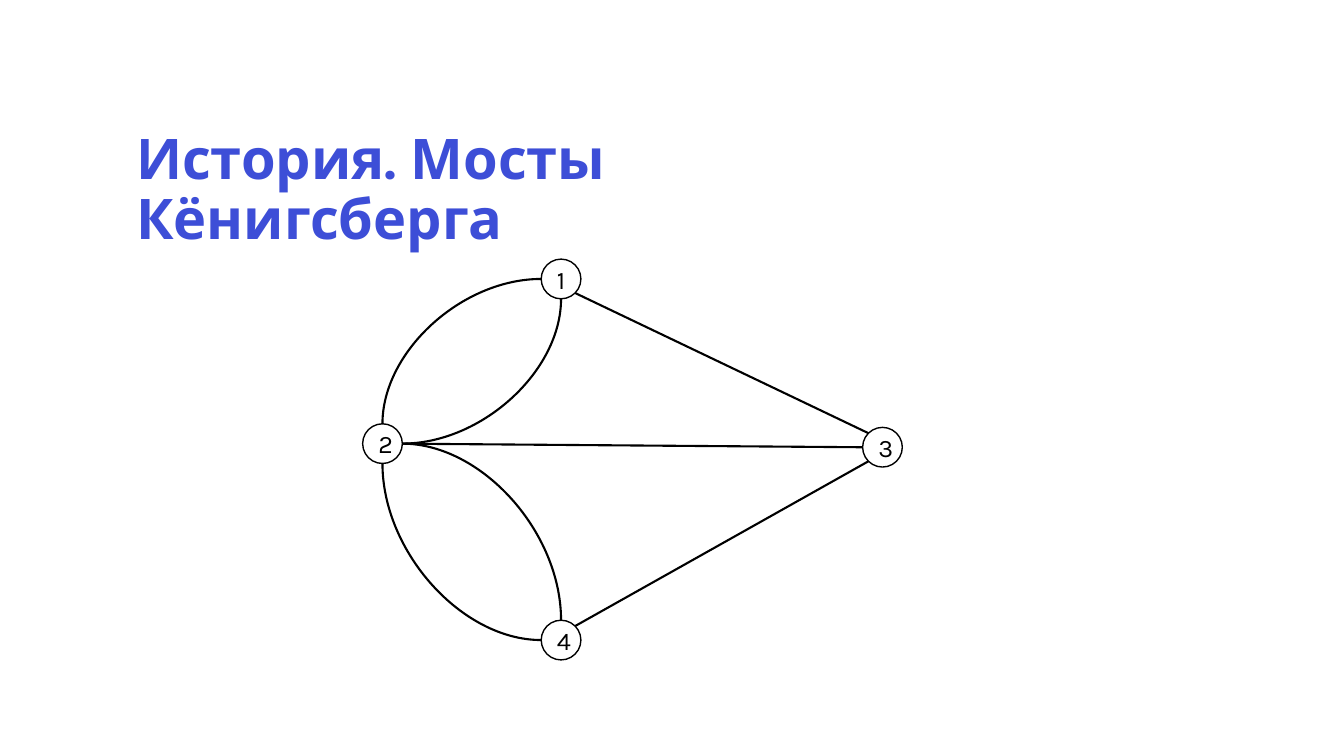
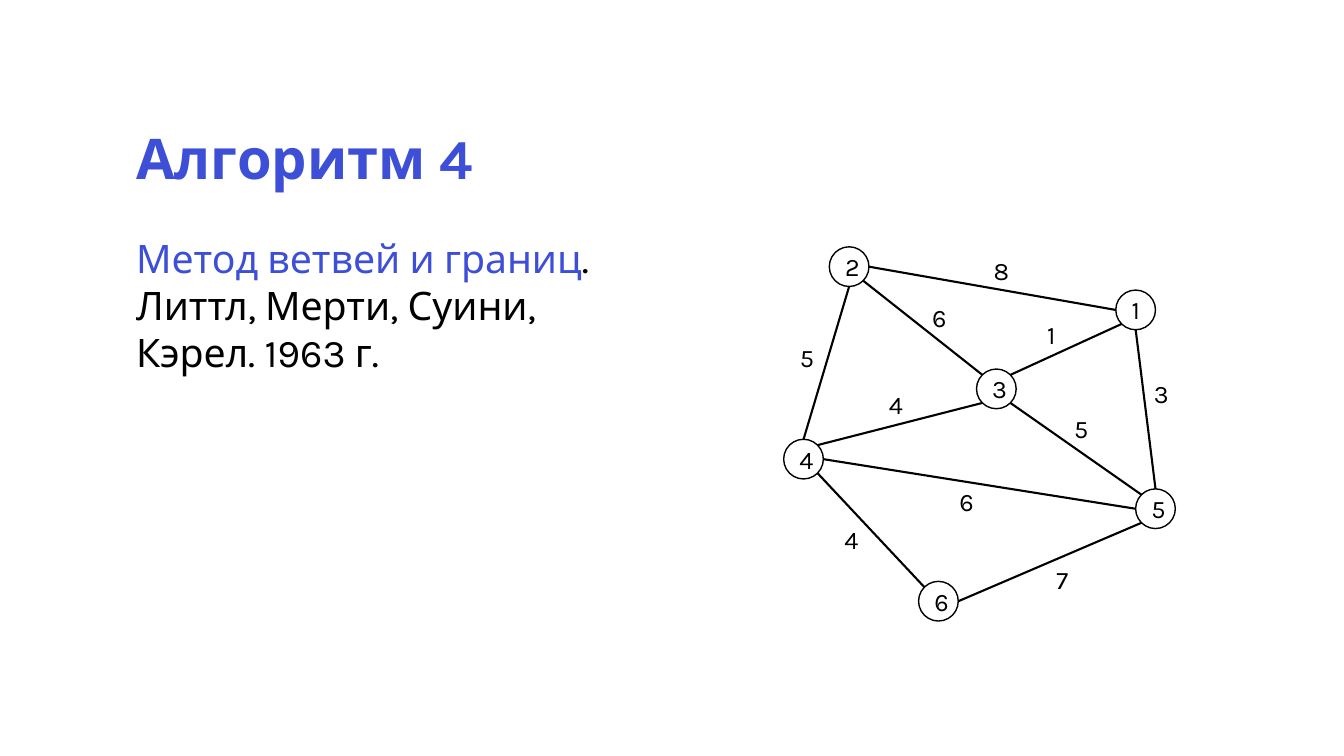
from dataclasses import dataclass
from math import cos, pi, sin

from lxml import etree
from pptx import Presentation
from pptx.dml.color import RGBColor
from pptx.enum.shapes import MSO_CONNECTOR, MSO_SHAPE
from pptx.enum.text import MSO_ANCHOR, PP_ALIGN
from pptx.oxml.ns import qn
from pptx.util import Cm, Pt

LINE, CURVE = MSO_CONNECTOR.STRAIGHT, MSO_CONNECTOR.CURVE
OVAL = MSO_SHAPE.OVAL
MIDDLE, CENTER = MSO_ANCHOR.MIDDLE, PP_ALIGN.CENTER

FONT = "Karla"
BLUE, BLACK, WHITE = "3D4ED7", "000000", "FFFFFF"
SIZE = 1.0  # node diameter, cm
LEFT = 3.18  # text margin, cm

# Connection sites of an ellipse, counter-clockwise from the top
N, NW, W, SW, S, SE, E, NE = range(8)


@dataclass
class Node:
    name: str
    x: float
    y: float

    def site(self, num: int) -> tuple[Cm, Cm]:
        turn = num * pi / 4
        half = SIZE / 2
        return Cm(self.x - half * sin(turn)), Cm(self.y - half * cos(turn))


@dataclass
class Edge:
    start: str
    out: int
    end: str
    into: int
    curved: bool = False


@dataclass
class Label:
    text: str
    x: float
    y: float


# Shared helpers
def color(code: str) -> RGBColor:
    return RGBColor.from_string(code)


def style(font, size: float, code: str, bold: bool = False) -> None:
    font.name, font.size, font.bold = FONT, Pt(size), bold
    font.color.rgb = color(code)


def add_text(slide, x: float, y: float, width: float, height: float):
    frame = slide.shapes.add_textbox(Cm(x), Cm(y), Cm(width), Cm(height)).text_frame
    frame.word_wrap = True
    return frame


def add_title(slide, text: str, width: float) -> None:
    para = add_text(slide, LEFT, LEFT, width, 2).paragraphs[0]
    para.text = text
    para.line_spacing = 0.9
    style(para.font, 40, BLUE, True)


def add_label(slide, label: Label) -> None:
    para = add_text(slide, label.x, label.y, 1.3, 1).paragraphs[0]
    para.text = label.text
    style(para.font, 18, BLACK)


# Graph parts
def add_node(slide, node: Node):
    half = SIZE / 2
    oval = slide.shapes.add_shape(
        OVAL, Cm(node.x - half), Cm(node.y - half), Cm(SIZE), Cm(SIZE))
    oval.shadow.inherit = False
    oval.fill.solid()
    oval.fill.fore_color.rgb = color(WHITE)
    oval.line.color.rgb = color(BLACK)
    oval.line.width = Pt(1)
    oval.text_frame.vertical_anchor = MIDDLE
    para = oval.text_frame.paragraphs[0]
    para.text = node.name
    para.alignment = CENTER
    style(para.font, 18, BLACK)
    return oval


def add_edge(slide, edge: Edge, nodes: dict, ovals: dict) -> None:
    kind = CURVE if edge.curved else LINE
    link = slide.shapes.add_connector(
        kind, *nodes[edge.start].site(edge.out), *nodes[edge.end].site(edge.into))
    link.line.color.rgb = color(BLACK)
    link.line.width = Pt(1.5)
    props = link.element.spPr
    etree.SubElement(props, qn("a:effectLst"))
    if edge.curved:  # a quarter arc: leaves level, arrives upright
        props.find(qn("a:prstGeom")).set("prst", "curvedConnector2")
    # Join both ends to the ellipse sites
    joint = link.element.find(".//" + qn("p:cNvCxnSpPr"))
    ends = (("a:stCxn", edge.start, edge.out), ("a:endCxn", edge.end, edge.into))
    for tag, name, num in ends:
        end = etree.SubElement(joint, qn(tag))
        end.set("id", str(ovals[name].shape_id))
        end.set("idx", str(num))


def add_graph(slide, nodes: list[Node], edges: list[Edge]) -> None:
    named = {node.name: node for node in nodes}
    ovals = {node.name: add_node(slide, node) for node in nodes}
    for edge in edges:
        add_edge(slide, edge, named, ovals)


# Content of the two graphs
BRIDGE_NODES = [
    Node("3", 22.24, 11.27),
    Node("1", 14.14, 7.03),
    Node("2", 9.64, 11.18),
    Node("4", 14.14, 16.13),
]
BRIDGES = [
    Edge("4", NE, "3", SW),
    Edge("1", SE, "3", NW),
    Edge("3", W, "2", E),
    Edge("1", W, "2", N, True),
    Edge("2", E, "1", S, True),
    Edge("4", W, "2", S, True),
    Edge("2", E, "4", N, True),
]
ROUTE_NODES = [
    Node("1", 28.62, 7.81),
    Node("4", 20.25, 11.57),
    Node("3", 25.11, 9.8),
    Node("2", 21.4, 6.72),
    Node("6", 23.65, 15.15),
    Node("5", 29.12, 12.82),
]
ROUTES = [
    Edge("4", NE, "3", SW),
    Edge("1", W, "2", E),
    Edge("3", NE, "1", SW),
    Edge("3", SE, "5", NW),
    Edge("1", S, "5", N),
    Edge("4", SE, "6", NW),
    Edge("6", E, "5", SW),
    Edge("4", E, "5", W),
    Edge("3", NW, "2", SE),
    Edge("2", S, "4", N),
]
WEIGHTS = [
    Label("5", 19.91, 8.51),
    Label("6", 23.24, 7.49),
    Label("4", 22.15, 9.68),
    Label("8", 24.79, 6.32),
    Label("1", 26.14, 7.92),
    Label("5", 26.82, 10.29),
    Label("6", 23.93, 12.14),
    Label("4", 21.03, 13.08),
    Label("7", 26.37, 14.1),
    Label("3", 28.83, 9.4),
]


# Slides
def add_bridges(slide) -> None:
    add_title(slide, "История. Мосты Кёнигсберга", 20.14)
    add_graph(slide, BRIDGE_NODES, BRIDGES)


def add_method(slide) -> None:
    add_title(slide, "Алгоритм 4", 13.74)
    frame = add_text(slide, LEFT, 5.77, 13.74, 5.05)
    lead = frame.paragraphs[0]
    for text, code in (("Метод ветвей и границ", BLUE), (".", BLACK)):
        run = lead.add_run()
        run.text = text
        style(run.font, 28, code)
    names = frame.add_paragraph()
    names.text = "Литтл, Мерти, Суини, Кэрел. 1963 г."
    style(names.font, 28, BLACK)
    add_graph(slide, ROUTE_NODES, ROUTES)
    for label in WEIGHTS:
        add_label(slide, label)


def main() -> None:
    deck = Presentation()
    deck.slide_width, deck.slide_height = Cm(33.87), Cm(19.05)
    blank = deck.slide_layouts[6]
    for build in (add_bridges, add_method):
        build(deck.slides.add_slide(blank))
    deck.save("out.pptx")


if __name__ == "__main__":
    main()
